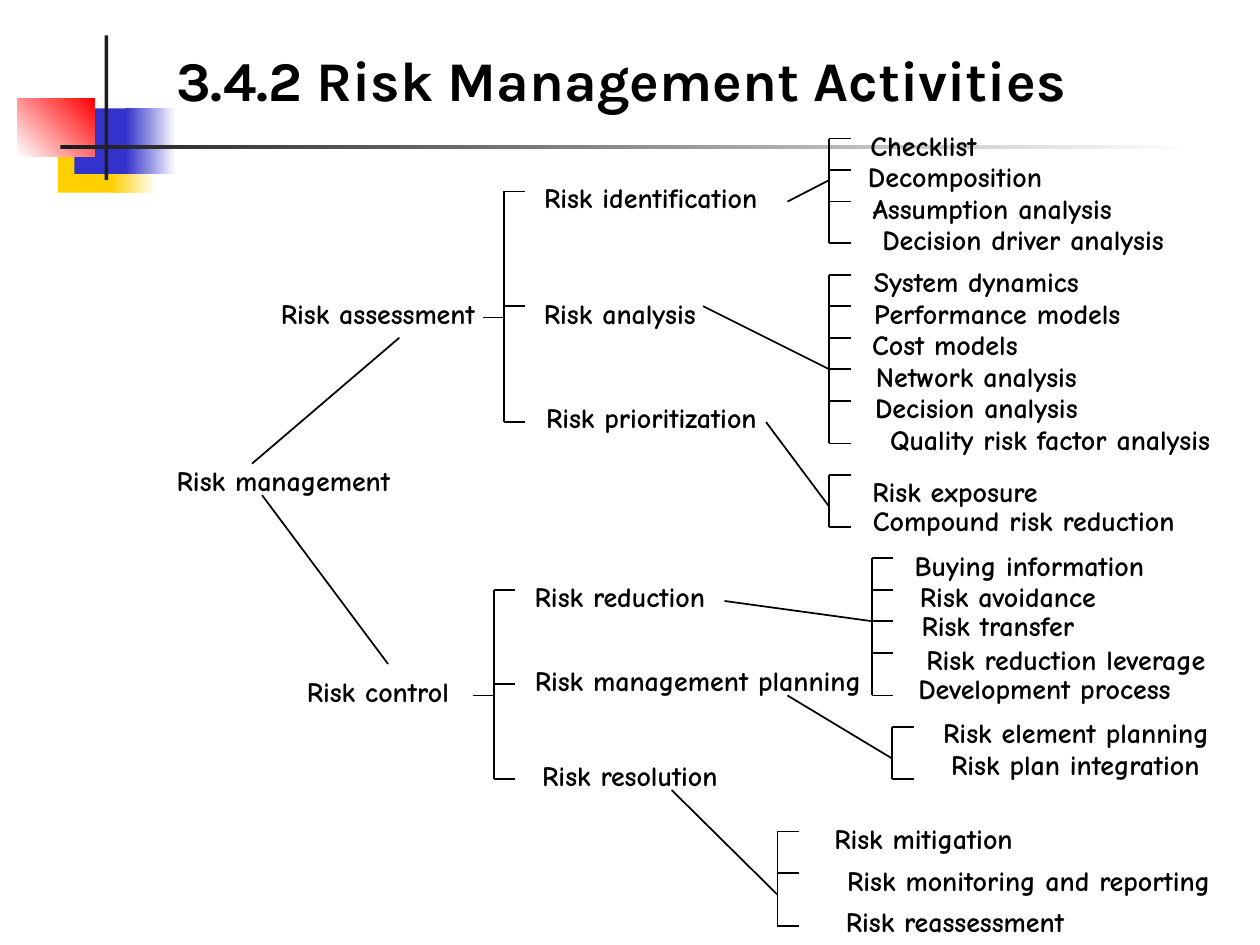
from lxml.etree import SubElement
from pptx import Presentation
from pptx.dml.color import RGBColor
from pptx.enum.shapes import MSO_CONNECTOR, MSO_SHAPE
from pptx.enum.text import MSO_ANCHOR, MSO_AUTO_SIZE, PP_ALIGN
from pptx.oxml.ns import qn
from pptx.util import Inches, Pt

COLORS = {
    "black": "000000",
    "charcoal": "1C1C1C",
    "white": "FFFFFF",
    "yellow": "FFCF01",
    "blue": "3333CC",
    "red": "FF0000",
}
LABEL_HEIGHT = 0.27
TICK_LENGTH = 0.17

# left, top, width, height, colours from start to end, angle
DECORATION = [
    (0.46, 1.01, 0.48, 0.52, ["yellow"], 0),
    (0.88, 1.01, 0.36, 0.52, ["yellow", "white"], 0),
    (0.59, 0.86, 0.46, 0.52, ["blue"], 0),
    (1, 0.86, 0.4, 0.52, ["blue", "white"], 0),
    (0.14, 0.78, 0.61, 0.46, ["white", "red"], 45),
    (0.83, 0.28, 0.03, 1.15, ["charcoal"], 0),
    (0.48, 1.15, 9, 0.03, ["charcoal", "white"], 0),
]

# text, left, top, width
LABELS = [
    ("Risk management", 1.25, 3.68, 2),
    ("Risk assessment", 2, 2.35, 2),
    ("Risk control", 2, 5.35, 2),
    ("Risk identification", 4.08, 1.43, 2.17),
    ("Risk analysis", 3.92, 2.35, 2),
    ("Risk prioritization", 4.17, 3.18, 2),
    ("Risk reduction", 3.92, 4.6, 2),
    ("Risk management planning", 4.08, 5.27, 2.92),
    ("Risk resolution", 4, 6.02, 2),
    ("Checklist", 6.33, 1.02, 2),
    ("Decomposition", 6.58, 1.27, 2),
    ("Assumption analysis", 6.75, 1.52, 2.25),
    ("Decision driver analysis", 6.83, 1.77, 2.58),
    ("System dynamics", 6.75, 2.1, 2),
    ("Performance models", 6.83, 2.35, 2.17),
    ("Cost models", 6.5, 2.6, 2),
    ("Network analysis", 6.75, 2.85, 2),
    ("Decision analysis", 6.75, 3.1, 2),
    ("Quality risk factor analysis", 6.75, 3.35, 3.17),
    ("Risk exposure", 6.58, 3.77, 2),
    ("Compound risk reduction", 6.75, 4, 2.75),
    ("Buying information", 7.17, 4.35, 2),
    ("Risk avoidance", 7, 4.6, 2),
    ("Risk transfer", 6.92, 4.83, 2),
    ("Risk reduction leverage", 7.17, 5.1, 2.58),
    ("Development process", 7.08, 5.33, 2.42),
    ("Risk element planning", 7.08, 5.68, 2.92),
    ("Risk plan integration", 7.41, 5.93, 2.25),
    ("Risk mitigation", 6.33, 6.52, 2),
    ("Risk monitoring and reporting", 6.5, 6.85, 3.33),
    ("Risk reassessment", 6.58, 7.18, 2),
]

# spine position, tick heights
BRACKETS = [
    (4, [1.52, 2.43, 3.35]),
    (3.92, [4.68, 5.43, 6.18]),
    (6.58, [1.1, 1.35, 1.6, 1.93]),
    (6.58, [2.18, 2.43, 2.68, 2.93, 3.18, 3.52]),
    (6.58, [3.77, 4.18]),
    (6.92, [4.43, 4.68, 4.93, 5.18, 5.52]),
    (7.08, [5.77, 6.18]),
    (6.17, [6.6, 6.93, 7.35]),
]

# start x, start y, end x, end y
BRANCHES = [
    (3.17, 2.68, 2, 3.68),
    (2.08, 3.93, 3.08, 5.27),
    (3.83, 2.52, 4, 2.52),
    (3.75, 5.52, 3.92, 5.52),
    (6.25, 1.6, 6.58, 1.43),
    (5.58, 2.43, 6.58, 2.93),
    (6.08, 3.35, 6.58, 4.02),
    (5.75, 4.77, 6.92, 4.93),
    (6.25, 5.52, 7.08, 6.02),
    (5.33, 6.27, 6.17, 7.1),
]


def rgb(name):
    """Return the named colour."""
    return RGBColor.from_string(COLORS[name])


def add_block(slide, left, top, width, height, colors, angle):
    """Add a borderless rectangle with a solid or gradient fill."""
    shape = slide.shapes.add_shape(
        MSO_SHAPE.RECTANGLE, Inches(left), Inches(top), Inches(width), Inches(height)
    )
    shape.shadow.inherit = False
    shape.line.fill.background()
    if len(colors) == 1:
        shape.fill.solid()
        shape.fill.fore_color.rgb = rgb(colors[0])
        return
    shape.fill.gradient()
    shape.fill.gradient_angle = angle
    for position, (stop, color) in enumerate(zip(shape.fill.gradient_stops, colors)):
        stop.position = position
        stop.color.rgb = rgb(color)


def add_text(slide, text, left, top, width, height, font, size, alignment, insets):
    """Add a bold one-line text box with horizontal and vertical insets."""
    shape = slide.shapes.add_textbox(
        Inches(left), Inches(top), Inches(width), Inches(height)
    )
    frame = shape.text_frame
    frame.word_wrap = True
    frame.auto_size = MSO_AUTO_SIZE.SHAPE_TO_FIT_TEXT
    frame.vertical_anchor = MSO_ANCHOR.TOP
    frame.margin_left = frame.margin_right = Inches(insets[0])
    frame.margin_top = frame.margin_bottom = Inches(insets[1])
    paragraph = frame.paragraphs[0]
    paragraph.alignment = alignment
    run = paragraph.add_run()
    run.text = text
    run.font.name = font
    run.font.size = Pt(size)
    run.font.bold = True
    run.font.color.rgb = rgb("black")


def add_label(slide, text, left, top, width):
    """Add a centred label of the risk tree."""
    add_text(slide, text, left, top, width, LABEL_HEIGHT,
             "Comic Neue", 16, PP_ALIGN.CENTER, (0, 0))


def add_line(slide, start_x, start_y, end_x, end_y):
    """Add a thin black straight line."""
    connector = slide.shapes.add_connector(
        MSO_CONNECTOR.STRAIGHT,
        Inches(start_x), Inches(start_y), Inches(end_x), Inches(end_y),
    )
    connector.line.color.rgb = rgb("black")
    connector.line.width = Pt(1)
    SubElement(connector._element.spPr, qn("a:effectLst"))


def add_bracket(slide, spine, ticks):
    """Add a vertical spine with a tick to the right for each child."""
    add_line(slide, spine, ticks[0], spine, ticks[-1])
    for tick in ticks:
        add_line(slide, spine, tick, spine + TICK_LENGTH, tick)


def main():
    """Build the risk management slide and save it."""
    presentation = Presentation()
    presentation.slide_width = Inches(10)
    presentation.slide_height = Inches(7.5)
    slide = presentation.slides.add_slide(presentation.slide_layouts[6])
    for block in DECORATION:
        add_block(slide, *block)
    for label in LABELS:
        add_label(slide, *label)
    for bracket in BRACKETS:
        add_bracket(slide, *bracket)
    for branch in BRANCHES:
        add_line(slide, *branch)
    add_text(slide, "3.4.2 Risk Management Activities", 1.3, 0.31, 7.8, 0.64,
             "Karla", 32, PP_ALIGN.LEFT, (0.1, 0.05))
    presentation.save("out.pptx")


if __name__ == "__main__":
    main()
